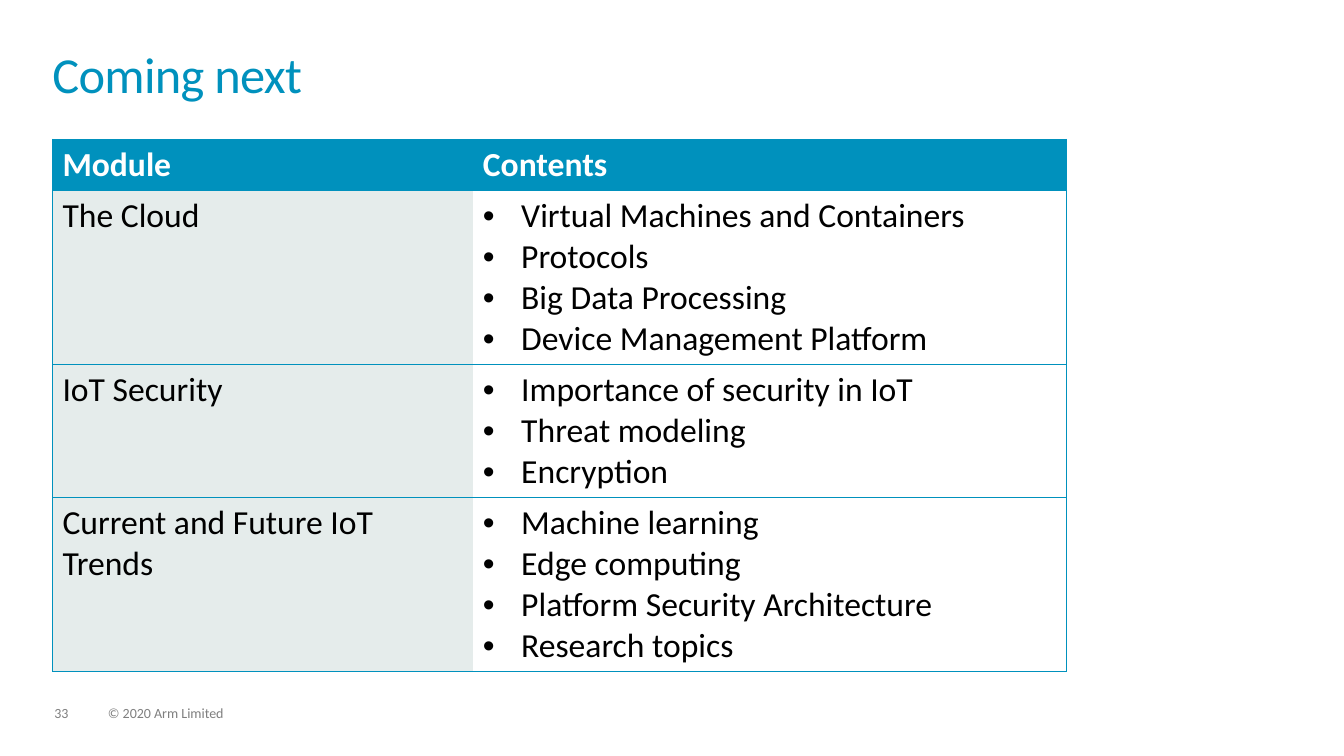
from lxml import etree
from pptx import Presentation
from pptx.dml.color import RGBColor
from pptx.enum.text import MSO_ANCHOR
from pptx.oxml.ns import qn
from pptx.util import Inches, Pt

COLOURS = {
    "accent": "0091BD",
    "band": "E5ECEB",
    "white": "FFFFFF",
    "black": "000000",
    "footer": "7F7F7F",
}

HEADINGS = ["Module", "Contents"]
MODULES = [
    ("The Cloud", [
        "Virtual Machines and Containers",
        "Protocols",
        "Big Data Processing",
        "Device Management Platform",
    ]),
    ("IoT Security", [
        "Importance of security in IoT",
        "Threat modeling",
        "Encryption",
    ]),
    ("Current and Future IoT Trends", [
        "Machine learning",
        "Edge computing",
        "Platform Security Architecture",
        "Research topics",
    ]),
]


class PageBuilder:
    font_name = "Calibri"
    line_height = 0.407
    cell_padding = 0.1

    def __init__(self, page):
        self.page = page

    def colour(self, name):
        return RGBColor.from_string(COLOURS[name])

    def style_paragraph(self, paragraph, size, colour, bold=False):
        for span in paragraph.runs:
            span.font.name = self.font_name
            span.font.size = Pt(size)
            span.font.bold = bold
            span.font.color.rgb = self.colour(colour)

    def add_text(self, text, left, top, width, height, size, colour, line_spacing, spacing=0):
        box = self.page.shapes.add_textbox(
            Inches(left), Inches(top), Inches(width), Inches(height))
        frame = box.text_frame
        frame.word_wrap = True
        frame.vertical_anchor = MSO_ANCHOR.TOP
        frame.margin_left = frame.margin_right = 0
        frame.margin_top = frame.margin_bottom = 0
        frame.text = text
        paragraph = frame.paragraphs[0]
        paragraph.line_spacing = line_spacing
        self.style_paragraph(paragraph, size, colour)
        if spacing:
            properties = paragraph.runs[0]._r.get_or_add_rPr()
            properties.set("spc", str(spacing))

    def add_bullet(self, paragraph):
        properties = paragraph._p.get_or_add_pPr()
        properties.set("marL", str(Inches(0.38)))
        properties.set("indent", str(-Inches(0.38)))
        etree.SubElement(properties, qn("a:buFont")).set("typeface", "Arial")
        etree.SubElement(properties, qn("a:buChar")).set("char", "•")

    def set_borders(self, cell, visible_sides):
        properties = cell._tc.get_or_add_tcPr()
        for side in "LRTB":
            line = etree.SubElement(properties, qn(f"a:ln{side}"))
            line.set("w", str(Pt(0.5)))
            if side in visible_sides:
                fill = etree.SubElement(line, qn("a:solidFill"))
                etree.SubElement(fill, qn("a:srgbClr")).set("val", COLOURS["accent"])
            else:
                etree.SubElement(line, qn("a:noFill"))

    def fill_cell(self, cell, lines, fill, colour, outer_side, bold=False, bullets=False):
        self.set_borders(cell, outer_side + "TB")
        cell.fill.solid()
        cell.fill.fore_color.rgb = self.colour(fill)
        cell.text_frame.text = "\n".join(lines)
        for paragraph in cell.text_frame.paragraphs:
            if bullets:
                self.add_bullet(paragraph)
            self.style_paragraph(paragraph, 24, colour, bold)

    def add_module_table(self, left, top, widths, headings, modules):
        line_counts = [1] + [len(contents) for _, contents in modules]
        heights = [self.cell_padding + self.line_height * count for count in line_counts]
        table = self.page.shapes.add_table(
            len(heights), len(widths), Inches(left), Inches(top),
            Inches(sum(widths)), Inches(sum(heights))).table
        table.horz_banding = False
        for column, width in zip(table.columns, widths):
            column.width = Inches(width)
        for row, height in zip(table.rows, heights):
            row.height = Inches(height)
        for index, (heading, side) in enumerate(zip(headings, "LR")):
            self.fill_cell(table.cell(0, index), [heading], "accent", "white", side, bold=True)
        for index, (module, contents) in enumerate(modules, start=1):
            self.fill_cell(table.cell(index, 0), [module], "band", "black", "L")
            self.fill_cell(table.cell(index, 1), contents, "white", "black", "R", bullets=True)


def main():
    deck = Presentation()
    deck.slide_width = Inches(13.33)
    deck.slide_height = Inches(7.5)
    builder = PageBuilder(deck.slides.add_slide(deck.slide_layouts[6]))
    builder.add_text("33", 0.54, 7.01, 0.34, 0.15, 10, "footer", 0.9)
    builder.add_text("© 2020 Arm Limited", 1.07, 7.01, 1.71, 0.15, 10, "footer", 0.9)
    builder.add_text("Coming next", 0.52, 0.52, 12.28, 0.72, 36, "accent", 0.85, spacing=-50)
    builder.add_module_table(0.52, 1.38, [4.17, 5.89], HEADINGS, MODULES)
    deck.save("out.pptx")


if __name__ == "__main__":
    main()
